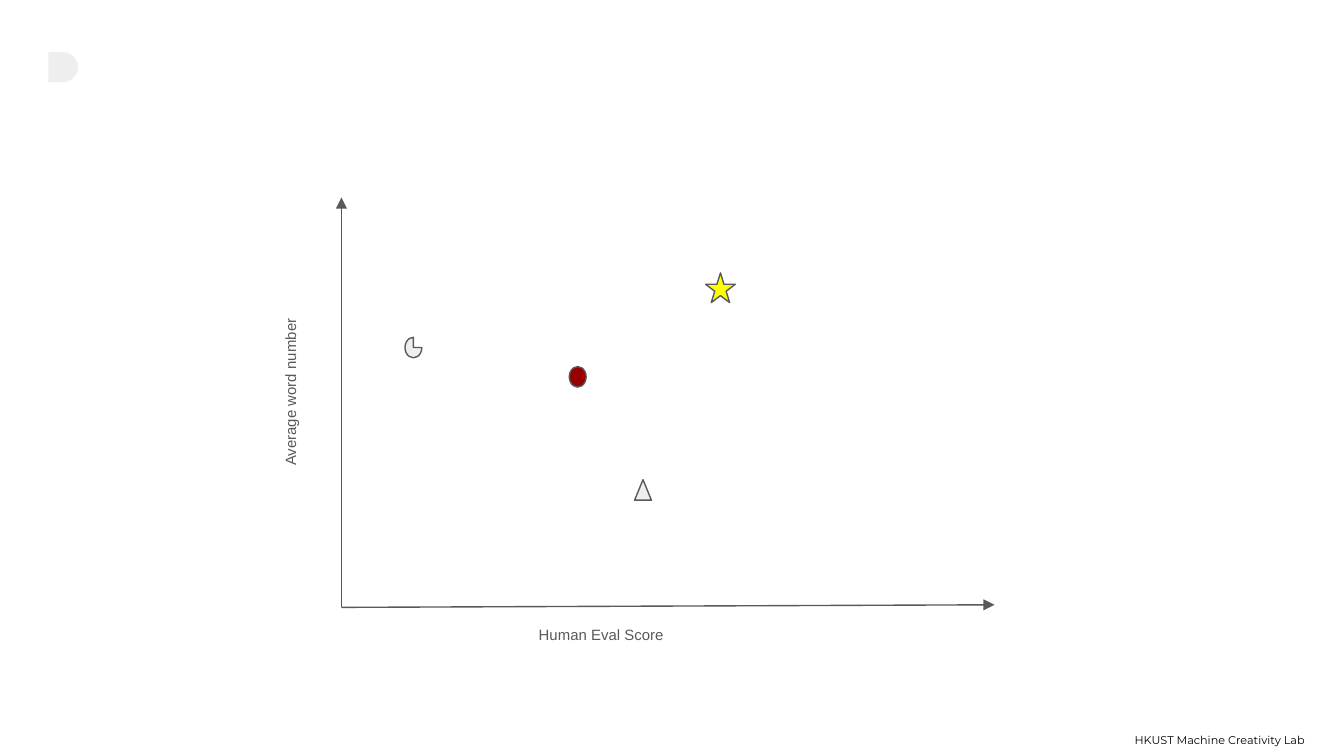
"""Build a slide that plots four markers of word count against human score."""
from dataclasses import dataclass

from lxml import etree
from pptx import Presentation
from pptx.dml.color import RGBColor
from pptx.enum import shapes, text
from pptx.oxml import ns
from pptx.util import Pt

GREY = RGBColor(0x59, 0x59, 0x59)
PALE = RGBColor(0xEE, 0xEE, 0xEE)
DARK_RED = RGBColor(0x98, 0x00, 0x00)
YELLOW = RGBColor(0xFF, 0xFF, 0x00)
BLACK = RGBColor(0x00, 0x00, 0x00)
ORIGIN = (182.9, 325.4)
AXIS_ENDS = [(182.9, 105.8), (532.8, 324)]


@dataclass
class Marker:
    kind: shapes.MSO_SHAPE
    left: float
    top: float
    width: float
    height: float
    fill: RGBColor
    outlined: bool = True


@dataclass
class Label:
    words: str
    left: float
    top: float
    width: float
    height: float
    size: float = 8
    font: str = "Arial"
    color: RGBColor = GREY
    align: text.PP_ALIGN = text.PP_ALIGN.LEFT
    inset: float = 7.2
    rotation: float = 0


MARKERS = [
    Marker(shapes.MSO_SHAPE.FLOWCHART_DELAY, 25.9, 28, 16, 16, PALE, False),
    Marker(shapes.MSO_SHAPE.OVAL, 305, 196.4, 9, 11, DARK_RED),
    Marker(shapes.MSO_SHAPE.STAR_5_POINT, 378, 146.2, 16, 16, YELLOW),
    Marker(shapes.MSO_SHAPE.ISOSCELES_TRIANGLE, 340, 257, 9, 11, PALE),
    Marker(shapes.MSO_SHAPE.PIE, 217, 180.7, 9, 11, PALE),
]
LABELS = [
    Label("HKUST Machine Creativity Lab", 594, 389.5, 111.9, 14.5, 6,
          "Montserrat", BLACK, text.PP_ALIGN.RIGHT, 3.6),
    Label("Human Eval Score", 281.5, 330.5, 108.7, 24.5),
    Label("Average word number", 103.7, 190.1, 108.7, 24.5, rotation=270),
]


def draw_marker(slide, marker: Marker) -> None:
    shape = slide.shapes.add_shape(marker.kind, Pt(marker.left), Pt(marker.top),
                                   Pt(marker.width), Pt(marker.height))
    shape.shadow.inherit = False
    shape.fill.solid()
    shape.fill.fore_color.rgb = marker.fill
    if marker.outlined:
        shape.line.color.rgb = GREY
        shape.line.width = Pt(0.75)
    else:
        shape.line.fill.background()


def draw_axis(slide, end: tuple[float, float]) -> None:
    axis = slide.shapes.add_connector(shapes.MSO_CONNECTOR.STRAIGHT,
                                      *map(Pt, ORIGIN + end))
    axis.line.color.rgb = GREY
    axis.line.width = Pt(0.75)
    etree.SubElement(axis.line._get_or_add_ln(), ns.qn("a:tailEnd"), type="triangle")
    etree.SubElement(axis._element.spPr, ns.qn("a:effectLst"))


def draw_label(slide, label: Label) -> None:
    box = slide.shapes.add_textbox(Pt(label.left), Pt(label.top),
                                   Pt(label.width), Pt(label.height))
    box.rotation = label.rotation
    frame = box.text_frame
    frame.word_wrap = True
    frame.auto_size = text.MSO_AUTO_SIZE.SHAPE_TO_FIT_TEXT
    frame.margin_left = frame.margin_right = Pt(7.2)
    frame.margin_top = frame.margin_bottom = Pt(label.inset)
    paragraph = frame.paragraphs[0]
    paragraph.text = label.words
    paragraph.alignment = label.align
    paragraph.font.size = Pt(label.size)
    paragraph.font.name = label.font
    paragraph.font.color.rgb = label.color


def main() -> None:
    deck = Presentation()
    deck.slide_width, deck.slide_height = Pt(720), Pt(405)
    slide = deck.slides.add_slide(deck.slide_layouts[6])
    for end in AXIS_ENDS:
        draw_axis(slide, end)
    for label in LABELS:
        draw_label(slide, label)
    for marker in MARKERS:
        draw_marker(slide, marker)
    deck.save("out.pptx")


if __name__ == "__main__":
    main()
